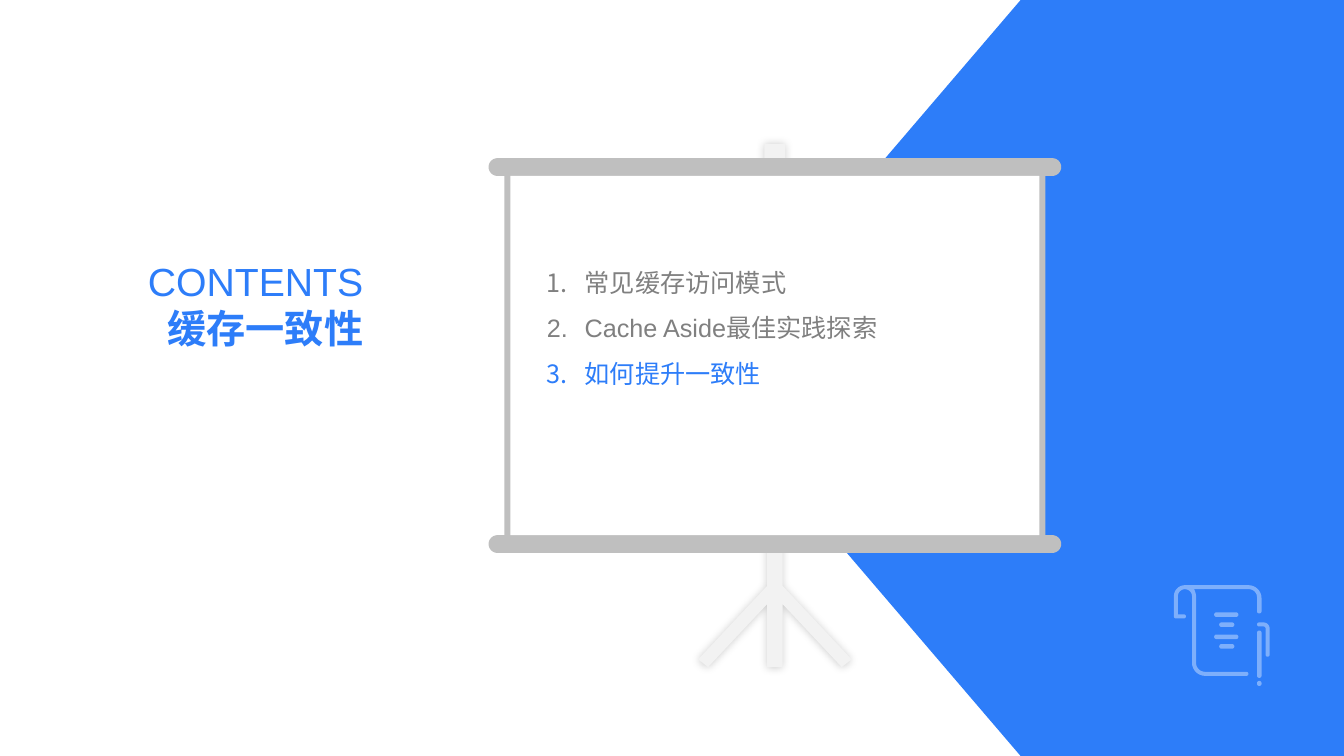
from dataclasses import dataclass
from math import hypot

from pptx import Presentation
from pptx.dml.color import RGBColor
from pptx.enum.shapes import MSO_SHAPE
from pptx.enum.text import MSO_AUTO_SIZE, PP_ALIGN
from pptx.oxml import parse_xml
from pptx.oxml.ns import nsdecls, qn
from pptx.oxml.xmlchemy import OxmlElement
from pptx.util import Pt

PLATE = MSO_SHAPE.PENTAGON
RECT = MSO_SHAPE.RECTANGLE
RIGHT = PP_ALIGN.RIGHT
GROW = MSO_AUTO_SIZE.SHAPE_TO_FIT_TEXT


@dataclass(frozen=True)
class Theme:
    blue: RGBColor = RGBColor(0x2D, 0x7D, 0xF9)
    white: RGBColor = RGBColor(0xFF, 0xFF, 0xFF)
    frame: RGBColor = RGBColor(0xBF, 0xBF, 0xBF)
    stand: RGBColor = RGBColor(0xF2, 0xF2, 0xF2)
    text: RGBColor = RGBColor(0x80, 0x80, 0x80)
    font: str = "Arial"
    title: int = 28
    item: int = 18


THEME = Theme()


def paint(shape, color):
    shape.shadow.inherit = False
    shape.fill.solid()
    shape.fill.fore_color.rgb = color
    shape.line.fill.background()
    return shape


def add_box(shapes, kind, box, color):
    return paint(shapes.add_shape(kind, *map(Pt, box)), color)


def style(par, size, color, bold=False):
    for run in par.runs:
        font = run.font
        font.name, font.size, font.bold = THEME.font, Pt(size), bold
        font.color.rgb = color


def bend(prev, corner, after):
    x, y, r = corner
    if not r:
        return [(x, y)]

    def toward(end, dist):
        dx, dy = end[0] - x, end[1] - y
        size = hypot(dx, dy)
        return x + dx / size * dist, y + dy / size * dist

    a, b = toward(prev, r), toward(prev, 0.45 * r)
    c, d = toward(after, 0.45 * r), toward(after, r)
    curve = []
    for step in range(9):
        t = step / 8
        s = 1 - t
        curve.append(tuple(
            s**3 * p + 3 * s * s * t * q + 3 * s * t * t * u + t**3 * v
            for p, q, u, v in zip(a, b, c, d)))
    return curve


def smooth(corners):
    after = corners[1:] + corners[:1]
    path = []
    for i, corner in enumerate(corners):
        path += bend(corners[i - 1], corner, after[i])
    return path


def draw(shapes, left, top, unit, paths, color):
    paths = [[(Pt(left + x * unit), Pt(top + y * unit)) for x, y in path]
             for path in paths]
    pen = shapes.build_freeform(*paths[0][0])
    pen.add_line_segments(paths[0][1:])
    for path in paths[1:]:
        pen.move_to(*path[0])
        pen.add_line_segments(path[1:])
    return paint(pen.convert_to_shape(), color)


def pill(x, y, right, low):
    r = min(right - x, low - y) / 2
    return smooth([(x, y, r), (right, y, r), (right, low, r), (x, low, r)])


def add_stand(shapes, left, top, width, height):
    mid = width / 2
    post = [(mid - 7.5, 0), (mid + 7.5, 0), (mid + 7.5, 20), (mid - 7.5, 20)]
    half = [(5.5, 260.5), (5.5, 315.5), (mid, 368), (mid - 7, 373.5),
            (5.5, 328.5), (5.5, height)]
    legs = [(mid + x, y) for x, y in half]
    legs += [(mid - x, y) for x, y in reversed(half)]
    stand = draw(shapes, left, top, 1, [post, legs], THEME.stand)
    props = stand.element.spPr
    props.remove(props.find(qn("a:effectLst")))
    props.append(parse_xml(
        f'<a:effectLst {nsdecls("a")}><a:outerShdw blurRad="{Pt(6)}" dist="0" '
        'dir="13500000" algn="ctr" rotWithShape="0"><a:srgbClr val="000000">'
        '<a:alpha val="20000"/></a:srgbClr></a:outerShdw></a:effectLst>'))


def add_board(shapes, left, top, width, height):
    bar, side, edge = 12.7, 11.3, 4.3
    r = bar / 2
    low = height - bar
    far = width - side
    frame = smooth([
        (0, 0, r), (width, 0, r), (width, bar, r), (far, bar, 0),
        (far, low, 0), (width, low, r), (width, height, r), (0, height, r),
        (0, low, r), (side, low, 0), (side, bar, 0), (0, bar, r)])
    group = shapes.add_group_shape().shapes
    add_stand(group, left + width / 2 - 54.75, top - 10, 109.5, 373.5)
    draw(group, left, top, 1, [frame], THEME.frame)
    inset = side + edge
    sheet = (left + inset, top + bar, width - 2 * inset, height - 2 * bar)
    add_box(group, RECT, sheet, THEME.white)


def add_title(shapes, box, lines):
    frame = shapes.add_textbox(*map(Pt, box))
    paint(frame, THEME.white)
    text = frame.text_frame
    text.word_wrap = True
    text.auto_size = GROW
    text.text = "\n".join(lines)
    for i, par in enumerate(text.paragraphs):
        par.alignment = RIGHT
        style(par, THEME.title, THEME.blue, i == 1)


def add_list(shapes, box, items, active):
    text = shapes.add_textbox(*map(Pt, box)).text_frame
    text.word_wrap = True
    text.margin_top = 0
    text.text = "\n".join(items)
    for i, par in enumerate(text.paragraphs):
        par.line_spacing = 1.5
        style(par, THEME.item, THEME.blue if i == active else THEME.text)
        props = par._p.get_or_add_pPr()
        props.set("marL", str(Pt(27)))
        props.set("indent", str(-Pt(27)))
        mark = OxmlElement("a:buAutoNum")
        mark.set("type", "arabicPeriod")
        props.append(mark)


def add_scroll(shapes, left, top, width):
    sheet = smooth([
        (82.5, 28, 2), (82.5, 4, 8), (20, 4, 0), (22, 8, 3), (22, 86, 9),
        (74, 86, 2), (74, 90, 2), (18, 90, 13), (18, 4, 7), (4, 4, 7),
        (4, 29, 0), (12, 29, 2), (12, 33, 2), (0, 33, 2), (0, 0, 11),
        (87, 0, 13), (87, 28, 2)])
    clip = smooth([(82.5, 37, 2), (95, 37, 6), (95, 71, 2), (91, 71, 2),
                   (91, 41, 2), (82.5, 41, 2)])
    bars = [(40, 27, 64, 31.5), (45, 37, 60, 41.5), (40, 49, 64, 53.5),
            (45, 58.5, 60, 63), (82.5, 45, 87, 92), (82.5, 95, 87, 100)]
    paths = [sheet, clip] + [pill(*bar) for bar in bars]
    icon = draw(shapes, left, top, width / 95, paths, THEME.white)
    alpha = OxmlElement("a:alpha")
    alpha.set("val", "39000")
    icon.element.spPr.find(".//" + qn("a:srgbClr")).append(alpha)


def add_agenda(slide, width, height):
    shapes = slide.shapes
    plate = add_box(shapes, PLATE, (width - 462, 0, 462, height), THEME.blue)
    plate.rotation = 180
    add_title(shapes, (60, 180, 206.5, 75), ["CONTENTS", "缓存一致性"])
    add_board(shapes, 349, 113, 409, 282)
    add_list(shapes, (383.5, 180, 339, 188),
             ["常见缓存访问模式", "Cache Aside最佳实践探索", "如何提升一致性"], 2)
    add_scroll(shapes, width - 121.5, height - 122, 68.4)


def main():
    deck = Presentation()
    deck.slide_width, deck.slide_height = Pt(960), Pt(540)
    add_agenda(deck.slides.add_slide(deck.slide_layouts[6]), 960, 540)
    deck.save("out.pptx")


if __name__ == "__main__":
    main()
